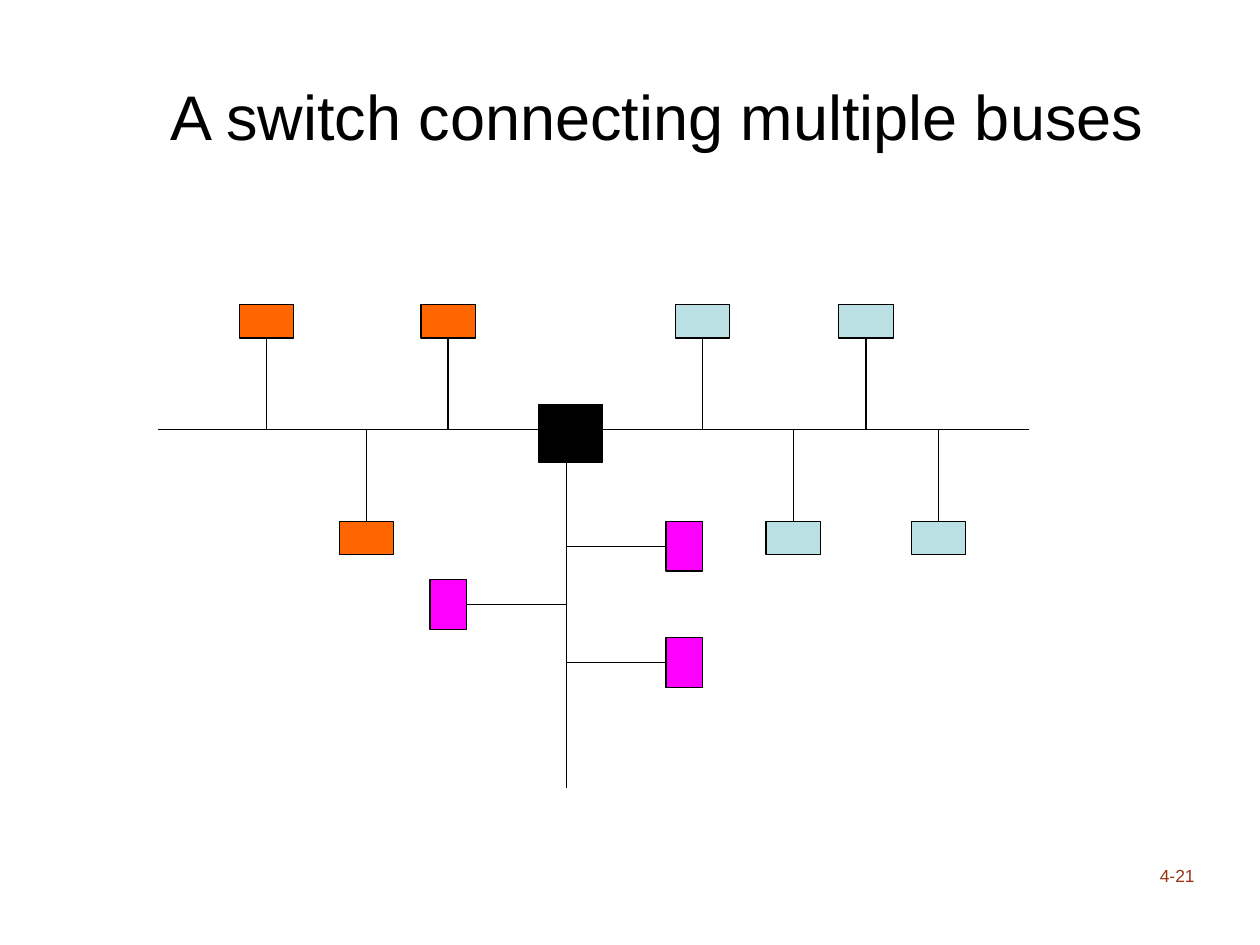
from lxml import etree
from pptx import Presentation
from pptx.dml.color import RGBColor
from pptx.enum.shapes import MSO_CONNECTOR, MSO_SHAPE
from pptx.enum.text import MSO_ANCHOR, MSO_AUTO_SIZE, PP_ALIGN
from pptx.oxml.ns import qn
from pptx.util import Inches, Pt

RECTANGLE = MSO_SHAPE.RECTANGLE
STRAIGHT = MSO_CONNECTOR.STRAIGHT
LEFT, RIGHT = PP_ALIGN.LEFT, PP_ALIGN.RIGHT
MIDDLE, BOTTOM = MSO_ANCHOR.MIDDLE, MSO_ANCHOR.BOTTOM
NO_AUTOFIT = MSO_AUTO_SIZE.NONE
TOP_SIDE, LEFT_SIDE, BOTTOM_SIDE, RIGHT_SIDE = range(4)
TITLE_ONLY_LAYOUT = 5

BLACK, ORANGE, BLUE, MAGENTA, BROWN = "000000", "FF6600", "BBE0E3", "FF00FF", "9A3416"

# Grid origin: the left end of the horizontal bus.
BUS_COLUMNS, TRUNK_COLUMN, TRUNK_ROWS = 96, 45, 43
STUB = 11
# Column on the horizontal bus, side of the bus (-1 above, 1 below), colour
BUS_NODES = [
    (12, -1, ORANGE), (23, 1, ORANGE), (32, -1, ORANGE),
    (60, -1, BLUE), (70, 1, BLUE), (78, -1, BLUE), (86, 1, BLUE),
]
# Row on the vertical bus, side of the bus (-1 left, 1 right)
TRUNK_NODES = [(14, 1), (21, -1), (28, 1)]


def color(hex_string):
    return RGBColor.from_string(hex_string)


def write_text(shape, text, *, size, fill=BLACK, font="Arial",
               align=LEFT, anchor=MIDDLE, line_spacing=1.0):
    frame = shape.text_frame
    frame.word_wrap = True
    frame.auto_size = NO_AUTOFIT
    frame.vertical_anchor = anchor
    frame.text = text
    paragraph = frame.paragraphs[0]
    paragraph.alignment = align
    paragraph.line_spacing = line_spacing
    run_font = paragraph.runs[0].font
    run_font.name = font
    run_font.size = Pt(size)
    run_font.color.rgb = color(fill)


class BusDiagram:
    """Current slide, line style and the grid of the diagram."""

    line_width = Pt(0.75)
    left, top = Inches(1.25), Inches(3.41)
    column, row = Inches(6.92) / BUS_COLUMNS, Inches(2.84) / TRUNK_ROWS

    def __init__(self, slide):
        self.slide = slide

    def point(self, column, row):
        return round(self.left + column * self.column), round(self.top + row * self.row)

    def title(self, text):
        shape = self.slide.shapes.title
        shape.left, shape.top = Inches(1.25), Inches(0.33)
        shape.width, shape.height = Inches(8.75), Inches(1.25)
        write_text(shape, text, size=36, line_spacing=0.9)

    def page_number(self, text):
        shape = self.slide.shapes.add_textbox(
            Inches(8.83), Inches(6.58), Inches(0.75), Inches(0.5))
        write_text(shape, text, size=10, fill=BROWN, align=RIGHT, anchor=BOTTOM)

    def box(self, column, row, columns, rows, fill):
        shape = self.slide.shapes.add_shape(
            RECTANGLE, *self.point(column, row),
            round(columns * self.column), round(rows * self.row))
        shape.shadow.inherit = False
        shape.fill.solid()
        shape.fill.fore_color.rgb = color(fill)
        self.outline(shape)
        return shape

    def line(self, start, end):
        connector = self.slide.shapes.add_connector(
            STRAIGHT, *self.point(*start), *self.point(*end))
        etree.SubElement(connector._element.spPr, qn("a:effectLst"))
        self.outline(connector)
        return connector

    def outline(self, shape):
        shape.line.color.rgb = color(BLACK)
        shape.line.width = self.line_width

    def bus_node(self, column, side, fill):
        """Draw a box above or below the horizontal bus, with its stub."""
        width, height = 6, 4
        top = STUB if side > 0 else -STUB - height
        node = self.box(column - width / 2, top, width, height, fill)
        stub = self.line((column, 0), (column, side * STUB))
        stub.end_connect(node, TOP_SIDE if side > 0 else BOTTOM_SIDE)

    def trunk_node(self, row, side):
        """Draw a box left or right of the vertical bus, with its stub."""
        width, height = 4, 6
        edge = TRUNK_COLUMN + side * STUB
        left = edge if side > 0 else edge - width
        node = self.box(left, row - height / 2, width, height, MAGENTA)
        stub = self.line((TRUNK_COLUMN, row), (edge, row))
        stub.end_connect(node, LEFT_SIDE if side > 0 else RIGHT_SIDE)


def main():
    presentation = Presentation()
    presentation.slide_width, presentation.slide_height = Inches(10), Inches(7.5)
    layout = presentation.slide_layouts[TITLE_ONLY_LAYOUT]
    diagram = BusDiagram(presentation.slides.add_slide(layout))

    diagram.title("A switch connecting multiple buses")
    diagram.page_number("4-21")
    diagram.line((0, 0), (BUS_COLUMNS, 0))
    for node in BUS_NODES:
        diagram.bus_node(*node)
    for node in TRUNK_NODES:
        diagram.trunk_node(*node)
    diagram.line((TRUNK_COLUMN, 0), (TRUNK_COLUMN, TRUNK_ROWS))
    diagram.box(42, -3, 7, 7, BLACK)  # the switch

    presentation.save("out.pptx")


if __name__ == "__main__":
    main()
